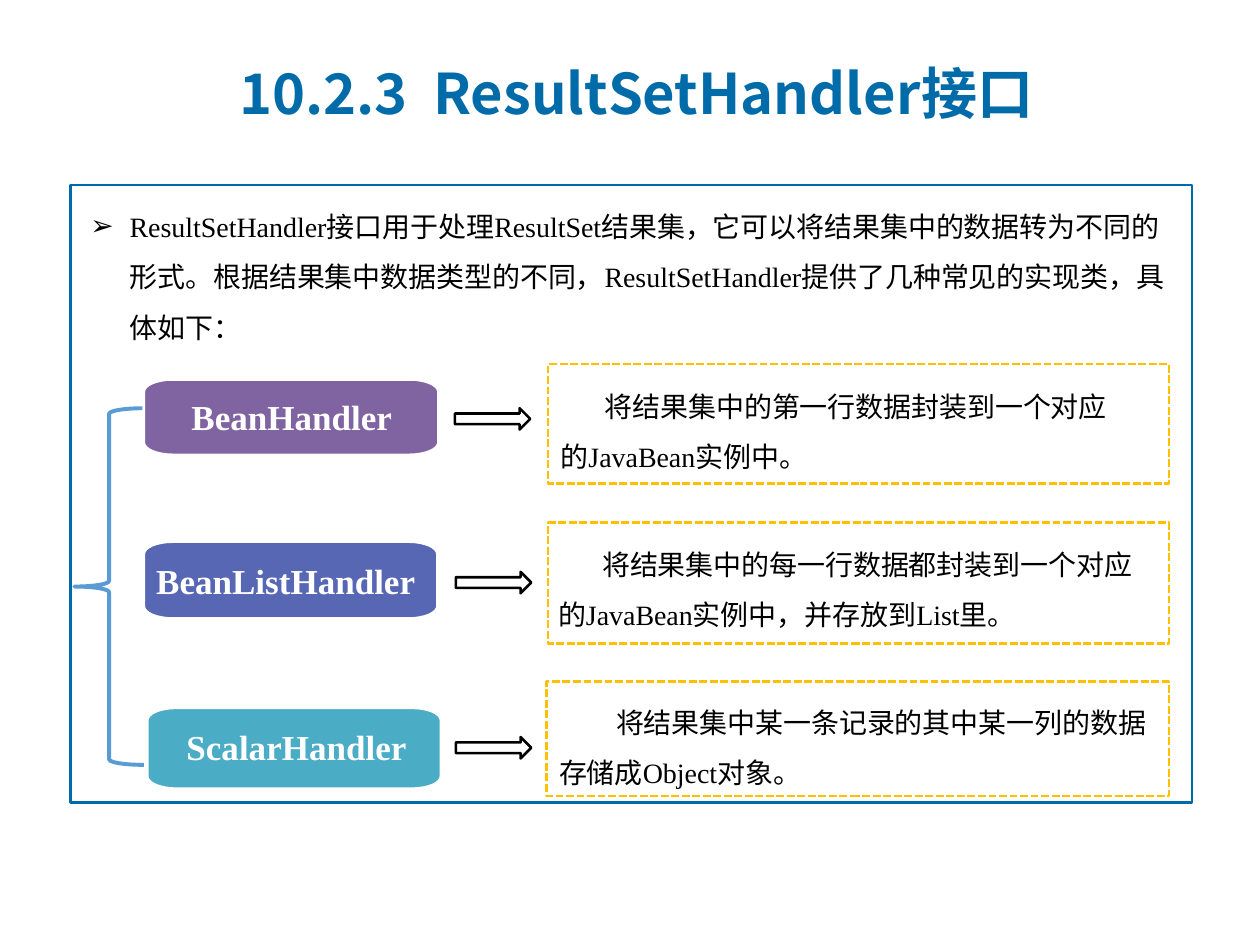
import math
from dataclasses import dataclass

from lxml import etree
from pptx import Presentation
from pptx.dml.color import RGBColor
from pptx.enum.dml import MSO_LINE
from pptx.enum.shapes import MSO_SHAPE
from pptx.enum.text import MSO_ANCHOR, MSO_AUTO_SIZE, PP_ALIGN
from pptx.oxml.ns import qn
from pptx.util import Cm, Pt

RECTANGLE = MSO_SHAPE.RECTANGLE
RIGHT_ARROW = MSO_SHAPE.RIGHT_ARROW
LEFT_BRACE = MSO_SHAPE.LEFT_BRACE
DASHED = MSO_LINE.SQUARE_DOT
TOP, MIDDLE = MSO_ANCHOR.TOP, MSO_ANCHOR.MIDDLE


@dataclass(frozen=True)
class Theme:
    blue: str = "006BA9"
    brace: str = "5B9BD5"
    gold: str = "FFC000"
    black: str = "000000"
    white: str = "FFFFFF"
    serif: str = "Times New Roman"
    sans: str = "Noto Sans CJK SC"
    title_size: int = 32
    label_size: int = 20
    body_size: int = 16
    thin: float = 1.5
    thick: float = 2.25


THEME = Theme()


def write(shape, text, size=THEME.body_size, color=THEME.black, font=THEME.serif,
          bold=False, spacing=1.0, margin=0, indent=0, bullet=None, anchor=TOP):
    """Put one left-aligned paragraph in the shape; margin and indent are in cm."""
    frame = shape.text_frame
    frame.word_wrap = True
    frame.auto_size = MSO_AUTO_SIZE.NONE
    frame.vertical_anchor = anchor
    paragraph = frame.paragraphs[0]
    paragraph.alignment = PP_ALIGN.LEFT
    paragraph.line_spacing = spacing
    paragraph.space_before = Pt(0)
    properties = paragraph._p.get_or_add_pPr()
    properties.set("marL", str(Cm(margin)))
    properties.set("indent", str(Cm(indent)))
    if bullet:
        etree.SubElement(properties, qn("a:buChar")).set("char", bullet)
    run = paragraph.add_run()
    run.text = text
    run.font.size = Pt(size)
    run.font.bold = bold
    run.font.name = font
    run.font.color.rgb = RGBColor.from_string(color)
    east_asian = etree.SubElement(run._r.get_or_add_rPr(), qn("a:ea"))
    east_asian.set("typeface", THEME.sans)


def paint(shape, line, fill=None, width=THEME.thin, dash=None):
    shape.shadow.inherit = False
    if fill:
        shape.fill.solid()
        shape.fill.fore_color.rgb = RGBColor.from_string(fill)
    else:
        shape.fill.background()
    shape.line.color.rgb = RGBColor.from_string(line)
    shape.line.width = Pt(width)
    if dash:
        shape.line.dash_style = dash


presentation = Presentation()
presentation.slide_width, presentation.slide_height = Cm(25.4), Cm(19.05)
slide = presentation.slides.add_slide(presentation.slide_layouts[1])
shapes = slide.shapes

title, body = shapes.title, slide.placeholders[1]
title.left, title.top, title.width, title.height = map(Cm, (4.57, 1.09, 19.02, 1.55))
write(title, "10.2.3  ResultSetHandler接口", size=THEME.title_size, color=THEME.blue,
      font=THEME.sans, bold=True, anchor=MIDDLE)

body.left, body.top, body.width, body.height = map(Cm, (1.57, 3.76, 22.33, 3.33))
write(body, "ResultSetHandler接口用于处理ResultSet结果集，它可以将结果集中的数据转为不同的形式。"
            "根据结果集中数据类型的不同，ResultSetHandler提供了几种常见的实现类，具体如下：",
      spacing=1.5, margin=0.79, indent=-0.79, bullet="➢")

panel = shapes.add_shape(RECTANGLE, *map(Cm, (1.42, 3.73, 22.61, 12.45)))
paint(panel, THEME.blue, THEME.white)
body._element.addprevious(panel._element)  # the panel lies behind the list

brace = shapes.add_shape(LEFT_BRACE, *map(Cm, (1.5, 8.23, 1.4, 7.19)))
brace.adjustments[0] = 0.08
paint(brace, THEME.brace, width=THEME.thick)

# name, colour, card, label, arrow position, box, explanation (None: inside the box), indent, text
handlers = [
    ("BeanHandler", "8064A2", (2.9, 7.65, 5.94, 1.52), (3.61, 7.85, 4.6, 1.12),
     (9.17, 8.23), (11.05, 7.34, 12.52, 2.41), (11.05, 7.39, 11.81, 2.31), 0.89,
     "将结果集中的第一行数据封装到一个对应的JavaBean实例中。"),
    ("BeanListHandler", "5767B4", (2.9, 10.92, 5.92, 1.55), (2.9, 11.15, 5.92, 1.12),
     (9.19, 11.53), (11.05, 10.54, 12.52, 2.44), (11, 10.57, 12.27, 2.31), 0.89,
     "将结果集中的每一行数据都封装到一个对应的JavaBean实例中，并存放到List里。"),
    ("ScalarHandler", "4BACC6", (2.97, 14.27, 5.92, 1.63), (3.51, 14.5, 4.98, 1.12),
     (9.19, 14.86), (11.02, 13.74, 12.55, 2.31), None, 1.15,
     "将结果集中某一条记录的其中某一列的数据存储成Object对象。"),
]
CORNER_WIDTH, CORNER_HEIGHT, CORNER_STEPS = 0.58, 0.25, 8

for name, color, card_place, label_place, arrow_at, box_place, text_place, indent, text in handlers:
    # Card outline: four elliptical corners joined by straight sides
    left, top, width, height = card_place
    right, bottom = left + width - CORNER_WIDTH, top + height - CORNER_HEIGHT
    left, top = left + CORNER_WIDTH, top + CORNER_HEIGHT
    centres = [(right, bottom), (left, bottom), (left, top), (right, top)]
    outline = []
    for quarter, (x, y) in enumerate(centres):
        for step in range(CORNER_STEPS + 1):
            angle = (quarter + step / CORNER_STEPS) * math.pi / 2
            outline.append((Cm(x + CORNER_WIDTH * math.cos(angle)),
                            Cm(y + CORNER_HEIGHT * math.sin(angle))))
    builder = shapes.build_freeform(*outline[0])
    builder.add_line_segments(outline[1:], close=True)
    paint(builder.convert_to_shape(), THEME.white, color)

    label = shapes.add_textbox(*map(Cm, label_place))
    write(label, name, size=THEME.label_size, color=THEME.white, bold=True)

    arrow = shapes.add_shape(RIGHT_ARROW, *map(Cm, (*arrow_at, 1.52, 0.43)))
    paint(arrow, THEME.black)

    box = shapes.add_shape(RECTANGLE, *map(Cm, box_place))
    paint(box, THEME.gold, THEME.white, dash=DASHED)
    explanation = shapes.add_textbox(*map(Cm, text_place)) if text_place else box
    write(explanation, text, spacing=1.5, indent=indent, anchor=TOP if text_place else MIDDLE)

presentation.save("out.pptx")
